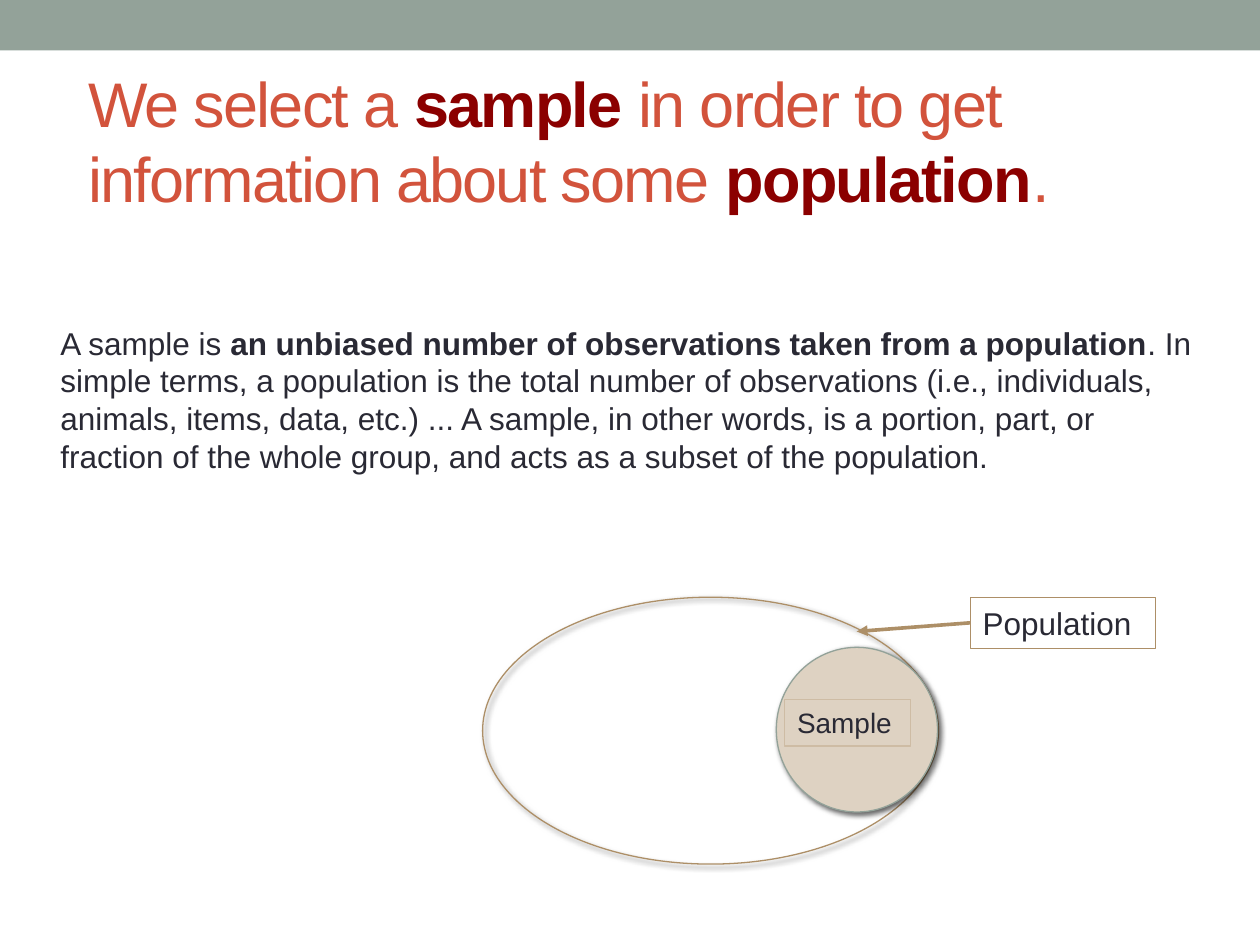
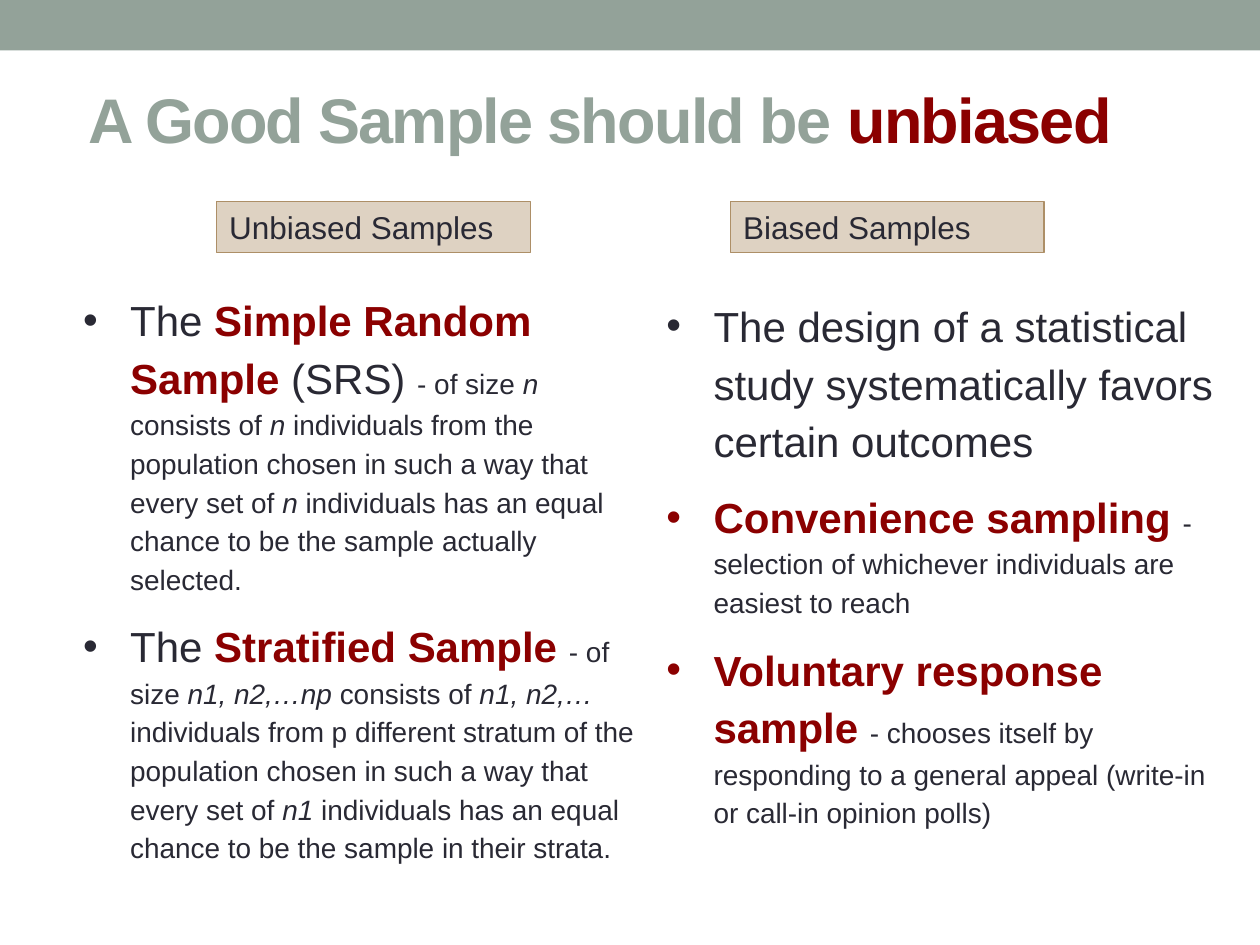
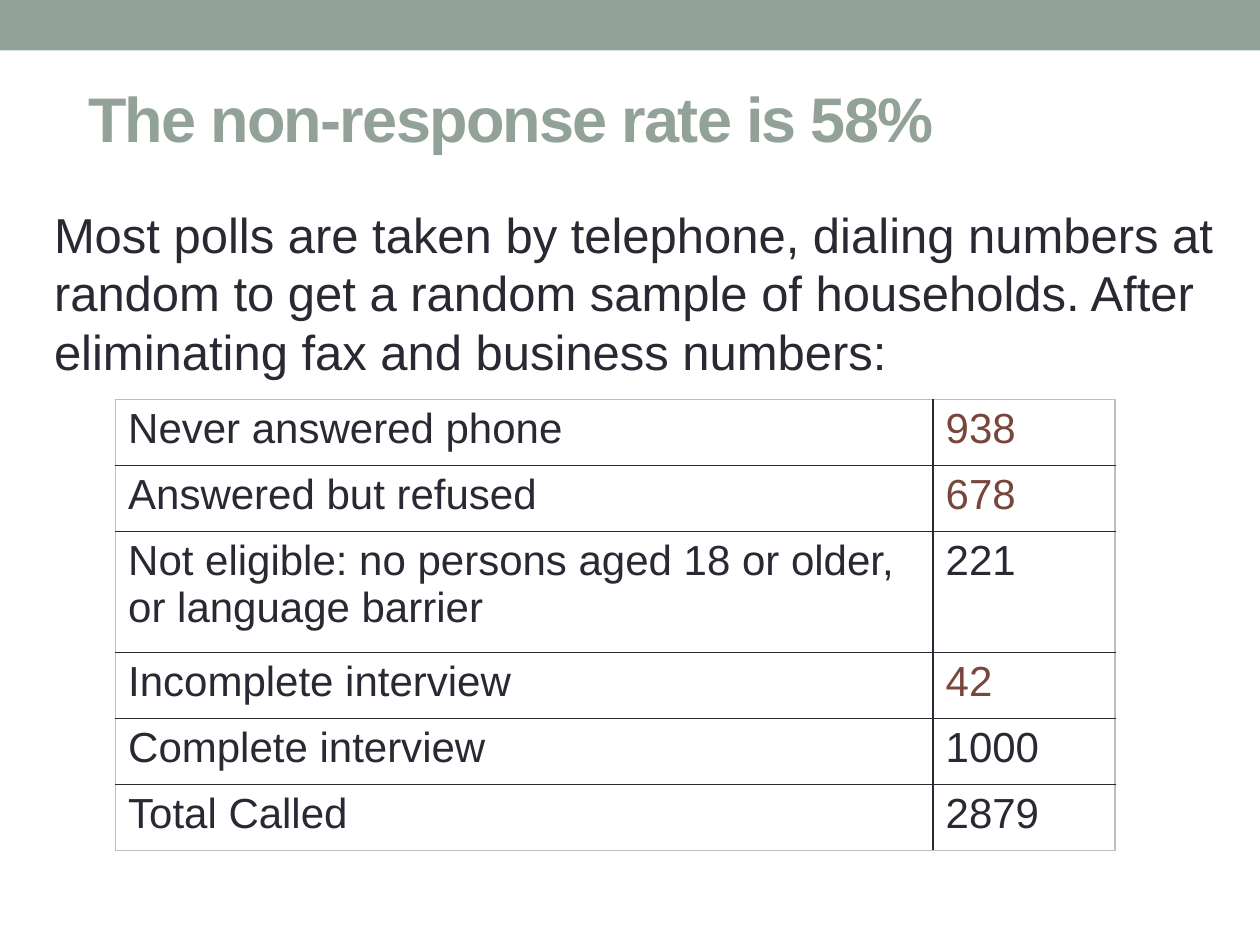
from lxml.etree import SubElement as Sub
from pptx import Presentation
from pptx.dml.color import RGBColor
from pptx.enum.shapes import MSO_CONNECTOR as Link, MSO_SHAPE as Form
from pptx.enum.text import MSO_ANCHOR as Anchor, MSO_AUTO_SIZE as Fit, PP_ALIGN as Align
from pptx.oxml.ns import qn
from pptx.util import Cm, Pt

INK, RED, DARK = "292934", "D2533C", "8B0000"
SAGE, TAN, SAND, PALE = "93A299", "AD8F67", "DED2C2", "CEBCA4"
RUST, GREY = "79463D", "BFBFBF"


def tint(code):
    """Turn a hex string into a colour."""
    return RGBColor.from_string(code)


class Deck:
    """Hold the style and the current slide."""

    font = "Arial"

    def __init__(self):
        """Open an empty deck of 4:3 slides."""
        self.prs = Presentation()
        self.prs.slide_width, self.prs.slide_height = Cm(25.4), Cm(19.05)

    def page(self, kind):
        """Start a slide on the given layout."""
        self.slide = self.prs.slides.add_slide(self.prs.slide_layouts[kind])

    def band(self):
        """Put the top band on the master, behind all else."""
        bar = self.shape(Form.RECTANGLE, (0, 0, 25.4, 1.02), SAGE)
        self.prs.slide_master.shapes.element.insert(2, bar.element)

    def place(self, item, box):
        """Move a shape to a box given in centimetres."""
        item.left, item.top, item.width, item.height = map(Cm, box)

    def add(self, para, runs, size, color=INK):
        """Add runs of text, size, colour and style letters."""
        for run in runs:
            text, pts, code, look = (*run, *(None,) * (4 - len(run)))
            part = para.add_run()
            part.text = text
            face = part.font
            face.name, face.size = self.font, Pt(pts or size)
            face.bold, face.italic = "b" in (look or ""), "i" in (look or "")
            face.color.rgb = tint(code or color)

    def title(self, box, runs, color):
        """Fill the title placeholder."""
        head = self.slide.shapes.title
        self.place(head, box)
        frame = head.text_frame
        frame.auto_size, frame.vertical_anchor = Fit.NONE, Anchor.MIDDLE
        para = frame.paragraphs[0]
        para.alignment = Align.LEFT
        self.add(para, runs, 36, color)
        for part in para.runs:
            part.font._element.set("spc", "-100")

    def text(self, box, runs, size):
        """Add a wrapped text box."""
        frame = self.slide.shapes.add_textbox(*map(Cm, box)).text_frame
        frame.word_wrap = True
        self.add(frame.paragraphs[0], runs, size)

    def list(self, slot, box, items):
        """Fill a body placeholder with bulleted items."""
        body = self.slide.placeholders[slot]
        self.place(body, box)
        frame = body.text_frame
        frame.auto_size, frame.vertical_anchor = Fit.NONE, Anchor.TOP
        for num, runs in enumerate(items):
            para = frame.add_paragraph() if num else frame.paragraphs[0]
            para.line_spacing = 1.15
            para.space_before, para.space_after = Pt(0), Pt(10)
            prop = para._p.get_or_add_pPr()
            prop.set("marL", str(Cm(0.95)))
            prop.set("indent", str(-Cm(0.95)))
            Sub(prop, qn("a:buFont"), typeface=self.font)
            Sub(prop, qn("a:buChar"), char="•")
            self.add(para, runs, 16)

    def shape(self, form, box, fill=None, line=None):
        """Add a flat preset shape."""
        item = self.slide.shapes.add_shape(form, *map(Cm, box))
        item.shadow.inherit = False
        if fill:
            item.fill.solid()
            item.fill.fore_color.rgb = tint(fill)
        else:
            item.fill.background()
        if line:
            item.line.color.rgb, item.line.width = tint(line), Pt(0.75)
        else:
            item.line.fill.background()
        return item

    def oval(self, box, fill, line):
        """Add an ellipse with a soft shadow."""
        item = self.shape(Form.OVAL, box, fill, line)
        glow = Sub(item._element.spPr.find(qn("a:effectLst")), qn("a:outerShdw"),
                   blurRad=str(Pt(3)), dist=str(Pt(2)), dir="2700000",
                   algn="tl", rotWithShape="0")
        Sub(Sub(glow, qn("a:srgbClr"), val="000000"), qn("a:alpha"), val="60000")

    def label(self, box, text, size=18, fill=None, line=TAN):
        """Add a framed label."""
        item = self.shape(Form.RECTANGLE, box, fill, line)
        para = item.text_frame.paragraphs[0]
        para.alignment = Align.LEFT
        self.add(para, [(text,)], size)
        return item

    def arrow(self, item, side, end):
        """Draw an arrow from the side of a shape to a point."""
        wire = self.slide.shapes.add_connector(Link.STRAIGHT, 0, 0, *map(Cm, end))
        wire.begin_connect(item, side)
        wire.line.color.rgb, wire.line.width = tint(TAN), Pt(2.08)
        Sub(wire.line._get_or_add_ln(), qn("a:tailEnd"), type="triangle")
        Sub(wire._element.spPr, qn("a:effectLst"))

    def edge(self, cell, pos, side, color):
        """Draw one border of a cell."""
        prop = cell._tc.get_or_add_tcPr()
        line = Sub(prop, qn("a:ln" + side), w=str(Pt(1)))
        Sub(Sub(line, qn("a:solidFill")), qn("a:srgbClr"), val=color)
        prop.insert(pos, line)

    def table(self, spot, cols, rows, data):
        """Add a ruled table of text, value and value colour."""
        grid = self.slide.shapes.add_table(
            len(rows), len(cols), *map(Cm, (*spot, sum(cols), sum(rows)))).table
        grid.first_row = grid.horz_banding = False
        for col, wide in zip(grid.columns, cols):
            col.width = Cm(wide)
        last, end = len(rows) - 1, len(cols) - 1
        for r, (name, count, color) in enumerate(data):
            grid.rows[r].height = Cm(rows[r])
            for c, run in enumerate([(name,), (count, None, color)]):
                cell = grid.cell(r, c)
                cell.fill.background()
                outer = {"L": c == 0, "R": c == end, "T": r == 0, "B": r == last}
                for pos, (side, rim) in enumerate(outer.items()):
                    self.edge(cell, pos, side, GREY if rim else INK)
                self.add(cell.text_frame.paragraphs[0], [run], 24)


def sample(deck):
    """Build the slide on sample and population."""
    deck.title((1.52, 0.97, 22.35, 3.7), [
        ("We select a ",), ("sample", None, DARK, "b"),
        (" in order to get information about some ",),
        ("population", None, DARK, "b"), (".",)], RED)
    deck.text((0.97, 6.4, 23.5, 4), [
        ("A sample is ",),
        ("an unbiased number of observations taken from a population", None, None, "b"),
        (". In simple terms, a population is the total number of observations "
         "(i.e., individuals, animals, items, data, etc.) ... A sample, in other "
         "words, is a portion, part, or fraction of the whole group, and acts as "
         "a subset of the population.",)], 18)
    deck.oval((9.73, 12.04, 9.19, 5.38), None, TAN)
    deck.oval((15.65, 13.05, 3.25, 3.32), SAND, SAGE)
    tag = deck.label((19.56, 12.04, 3.73, 1.03), "Population")
    deck.arrow(tag, 1, (17.27, 12.73))
    deck.label((15.82, 14.1, 2.54, 0.94), "Sample", 16, line=PALE)


def bias(deck):
    """Build the slide on unbiased and biased samples."""
    deck.title((1.52, 1.09, 22.35, 2.57), [
        ("A Good Sample should be ", None, None, "b"),
        ("unbiased", None, DARK, "b")], SAGE)
    for left, name in ((4.37, "Unbiased Samples"), (14.73, "Biased Samples")):
        deck.label((left, 4.06, 6.32, 1.03), name, fill=SAND)
    deck.list(1, (1.42, 5.66, 11.76, 12.5), [
        [("The ", 24), ("Simple Random Sample ", 24, DARK, "b"), ("(SRS) ", 24),
         ("- of size ",), ("n ", None, None, "i"), ("consists of ",),
         ("n", None, None, "i"),
         (" individuals from the population chosen in such a way that every set of ",),
         ("n", None, None, "i"),
         (" individuals has an equal chance to be the sample actually selected.",)],
        [("The ", 24), ("Stratified Sample ", 24, DARK, "b"), ("- of size ",),
         ("n1, n2,…np ", None, None, "i"), ("consists of ",),
         ("n1, n2,…", None, None, "i"),
         (" individuals from p different stratum of the population chosen in such "
          "a way that every set of ",), ("n1", None, None, "i"),
         (" individuals has an equal chance to be the sample in their strata.",)]])
    deck.list(2, (13.18, 5.77, 11.76, 11.91), [
        [("The design of a statistical study systematically favors certain outcomes", 24)],
        [("Convenience sampling ", 24, DARK, "b"),
         ("- selection of whichever individuals are easiest to reach",)],
        [("Voluntary response sample ", 24, DARK, "b"),
         ("- chooses itself by responding to a general appeal "
          "(write-in or call-in opinion polls)",)]])


def polls(deck):
    """Build the slide on non-response."""
    deck.title((1.52, 0.51, 22.35, 3.7),
               [("The non-response rate is 58%", None, None, "b")], SAGE)
    deck.text((0.84, 3.99, 24.5, 3.84), [
        ("Most polls are taken by telephone, dialing numbers at random to get a "
         "random sample of households. After eliminating fax and business numbers:",)], 28)
    low = 1.33
    deck.table((2.33, 8.05), (16.48, 3.67), (low, low, 2.44, low, low, low), [
        ("Never answered phone", "938", RUST),
        ("Answered but refused", "678", RUST),
        ("Not eligible: no persons aged 18 or older, or language barrier", "221", INK),
        ("Incomplete interview", "42", RUST),
        ("Complete interview", "1000", INK),
        ("Total Called", "2879", INK)])


def main():
    """Build and save the deck."""
    deck = Deck()
    deck.page(5)
    deck.band()
    sample(deck)
    deck.page(3)
    bias(deck)
    deck.page(5)
    polls(deck)
    deck.prs.save("out.pptx")


if __name__ == "__main__":
    main()
